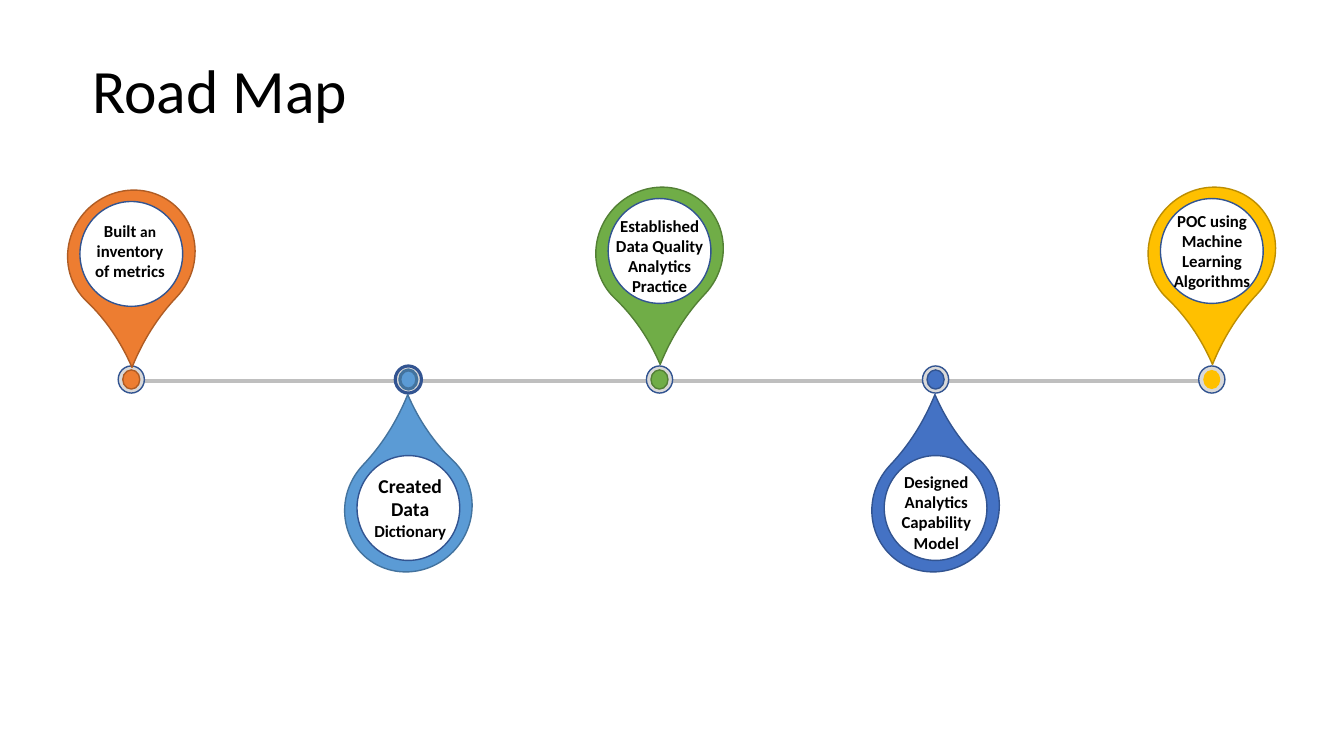
from pptx import Presentation
from pptx.dml.color import RGBColor
from pptx.enum.shapes import MSO_CONNECTOR, MSO_SHAPE
from pptx.enum.text import MSO_ANCHOR, MSO_AUTO_SIZE, PP_ALIGN
from pptx.oxml.ns import qn
from pptx.util import Pt
from lxml.etree import SubElement

COLORS = {
    "black": "000000", "white": "FFFFFF", "track": "BFBFBF",
    "ring": "D9D9D9", "navy": "325491",
    "orange": "ED7D31", "rust": "AF5C24",
    "sky": "5B9BD5", "steel": "43739E",
    "green": "70AD47", "moss": "538035",
    "blue": "4472C4", "gold": "FFC000", "bronze": "BD8E00",
}
FONT = "Calibri"
DOT_Y, DOT_W, DOT_H = 271.1, 18.7, 19.4

# center x, pin center y, turn, fill, edge, dot line width, core edge,
# text box (left, top, width, height), text runs (text, size)
PINS = [
    (93.8, 181.4, 133.5, "orange", "rust", 1, "rust",
     (56.9, 154.1, 72, 51),
     [("Built ", 12), ("an", 11), (" inventory of metrics", 12)]),
    (291.7, 362.9, 313.5, "sky", "steel", 2.25, "steel",
     (256.3, 334.8, 73.4, 79),
     [("Created Data ", 14), ("Dictionary", 12)]),
    (471.1, 179.3, 133.5, "green", "moss", 1, "moss",
     (429.8, 150.5, 82.8, 89),
     [("Established Data Quality Analytics Practice", 12)]),
    (668.3, 362.9, 313.5, "blue", "navy", 1, "navy",
     (627.8, 333.4, 82.1, 65),
     [("Designed Analytics Capability Model", 12)]),
    (865.6, 179.3, 133.5, "gold", "bronze", 1, None,
     (827.3, 146.9, 77, 65),
     [("POC using Machine Learning Algorithms", 12)]),
]


def tint(name):
    return RGBColor.from_string(COLORS[name])


def center(kind, x, y, wide, high, fill, edge, weight=1):
    """Add a shape by its center point; no edge name means no outline."""
    shape = slide.shapes.add_shape(
        kind, Pt(x - wide / 2), Pt(y - high / 2), Pt(wide), Pt(high))
    shape.shadow.inherit = False
    shape.fill.solid()
    shape.fill.fore_color.rgb = tint(fill)
    if edge:
        shape.line.color.rgb = tint(edge)
        shape.line.width = Pt(weight)
    else:
        shape.line.fill.background()
    return shape


deck = Presentation()
deck.slide_width, deck.slide_height = Pt(960), Pt(540)
slide = deck.slides.add_slide(deck.slide_layouts[5])

# Title
title = slide.shapes.title
title.left, title.top, title.width, title.height = Pt(66), Pt(28.8), Pt(828), Pt(104.4)
frame = title.text_frame
frame.text = "Road Map"
frame.auto_size = MSO_AUTO_SIZE.NONE
frame.vertical_anchor = MSO_ANCHOR.TOP
frame.margin_left = frame.margin_right = frame.margin_bottom = 0
frame.margin_top = Pt(14.4)
head = frame.paragraphs[0]
head.alignment = PP_ALIGN.LEFT
head.line_spacing = 0.9
head.font.name, head.font.size = FONT, Pt(44)
head.font.color.rgb = tint("black")

# Track between neighboring dots
for here, after in zip(PINS, PINS[1:]):
    track = slide.shapes.add_connector(
        MSO_CONNECTOR.STRAIGHT, Pt(here[0] + DOT_W / 2), Pt(272.2),
        Pt(after[0] - DOT_W / 2), Pt(272.2))
    track.line.color.rgb = tint("track")
    track.line.width = Pt(3)
    SubElement(track._element.spPr, qn("a:effectLst"))

# Dots, pins and labels
for x, y, turn, fill, edge, weight, rim, box, runs in PINS:
    center(MSO_SHAPE.OVAL, x, DOT_Y, DOT_W, DOT_H, "ring", "navy", weight)
    center(MSO_SHAPE.OVAL, x, DOT_Y, 12.2, 13.7, fill, rim, weight)

    pin = center(MSO_SHAPE.TEAR, x, y, 93, 89.3, fill, edge)
    pin.adjustments[0] = 1.257
    pin.rotation = turn
    center(MSO_SHAPE.OVAL, x, y, 73.4, 74.9, "white", "navy")

    label = slide.shapes.add_textbox(*map(Pt, box)).text_frame
    label.word_wrap = True
    label.auto_size = MSO_AUTO_SIZE.SHAPE_TO_FIT_TEXT
    para = label.paragraphs[0]
    para.alignment = PP_ALIGN.CENTER
    para.font.name, para.font.bold = FONT, True
    para.font.color.rgb = tint("black")
    for text, size in runs:
        run = para.add_run()
        run.text = text
        run.font.size = Pt(size)

deck.save("out.pptx")
